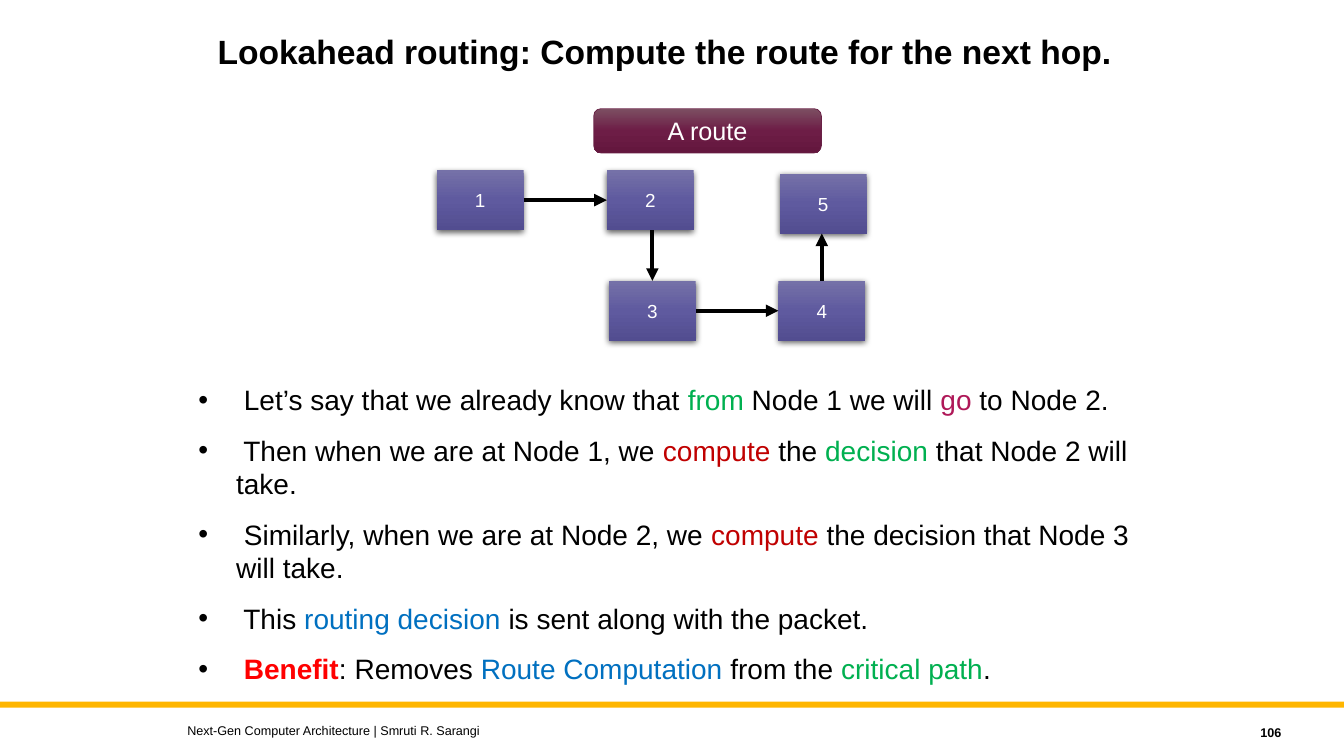
import pptx
import pptx.util
import pptx.dml.color
import pptx.enum.shapes
import pptx.enum.text
import pptx.oxml
import pptx.oxml.ns

Pt = pptx.util.Pt
ALIGN = pptx.enum.text.PP_ALIGN
ANCHOR = pptx.enum.text.MSO_ANCHOR
SHAPE = pptx.enum.shapes.MSO_SHAPE

TITLE = "Lookahead routing: Compute the route for the next hop."
FOOTER = "Next-Gen Computer Architecture | Smruti R. Sarangi"
PAGE = "106"
ROUTE_LABEL = "A route"
NODES = {
    "1": (312, 121.7),
    "2": (433.5, 121.7),
    "3": (435, 200.7),
    "4": (556, 200.7),
    "5": (557, 124.2),
}
HOPS = [("1", "2"), ("2", "3"), ("3", "4"), ("4", "5")]
BULLETS = [
    [" Let’s say that we already know that ", ("from", "green"), " Node 1 we will ",
     ("go", "plum"), " to Node 2."],
    [" Then when we are at Node 1, we ", ("compute", "crimson"), " the ",
     ("decision", "green"), " that Node 2 will take."],
    [" Similarly, when we are at Node 2, we ", ("compute", "crimson"),
     " the decision that Node 3 will take."],
    [" This ", ("routing decision ", "blue"), "is sent along with the packet."],
    [" ", ("Benefit", "red", True), ": Removes ", ("Route Computation ", "blue"),
     "from the ", ("critical path", "green"), "."],
]

THEME = {
    "font": "Arial",
    "black": "000000", "white": "FFFFFF", "bar": "FFB600",
    "green": "00B050", "plum": "AF1858", "crimson": "C00000",
    "blue": "0070C0", "red": "FF0000", "label_line": "692146",
    "node_fill": ("7571A8", "5F5A9F", "524D90"),
    "label_fill": ("7C4F62", "6D1D46", "64173E"),
    "title": 24, "body": 20, "label": 18, "node": 13.5, "small": 9,
}
SLIDE_W, SLIDE_H = 960, 540
NODE_W, NODE_H = 62, 42.6
INDENT = 27
NS = pptx.oxml.ns.nsdecls("a")


def color(name):
    return pptx.dml.color.RGBColor.from_string(THEME[name])


def add_xml(parent, xml):
    el = pptx.oxml.parse_xml(xml)
    parent.append(el)
    return el


def write(tf, paragraphs, size, ink="black", bold=False, align=ALIGN.LEFT,
          anchor=ANCHOR.MIDDLE, bullet=False, leading=None, gap=0):
    tf.word_wrap = True
    tf.vertical_anchor = anchor
    for i, runs in enumerate(paragraphs):
        p = tf.paragraphs[0] if i == 0 else tf.add_paragraph()
        if bullet:
            pPr = p._p.get_or_add_pPr()
            pPr.set("marL", str(Pt(INDENT)))
            pPr.set("indent", str(-Pt(INDENT)))
            add_xml(pPr, f'<a:buFont {NS} typeface="{THEME["font"]}"/>')
            add_xml(pPr, f'<a:buChar {NS} char="•"/>')
        p.alignment = align
        if leading:
            p.line_spacing = leading
        if i and gap:
            p.space_before = Pt(gap)
        for run in runs:
            text, run_ink, run_bold = ((run, ink, bold) if isinstance(run, str)
                                       else (*run, bold)[:3])
            r = p.add_run()
            r.text = text
            r.font.name = THEME["font"]
            r.font.size = Pt(THEME[size])
            r.font.bold = run_bold
            r.font.color.rgb = color(run_ink)


def add_text(s, box, paragraphs, size, **fmt):
    sp = s.shapes.add_textbox(*map(Pt, box))
    write(sp.text_frame, paragraphs, size, **fmt)


def add_block(s, kind, box, fill, line=None, shadow=False):
    sp = s.shapes.add_shape(kind, *map(Pt, box))
    sp.shadow.inherit = False
    if isinstance(THEME[fill], str):
        sp.fill.solid()
        sp.fill.fore_color.rgb = color(fill)
    else:
        stops = "".join(
            f'<a:gs pos="{50000 * i}"><a:srgbClr val="{c}"/></a:gs>'
            for i, c in enumerate(THEME[fill]))
        grad = pptx.oxml.parse_xml(
            f'<a:gradFill {NS} rotWithShape="1"><a:gsLst>{stops}</a:gsLst>'
            '<a:lin ang="5400000" scaled="0"/></a:gradFill>')
        sp._element.spPr.find(pptx.oxml.ns.qn("a:prstGeom")).addnext(grad)
    if line:
        sp.line.color.rgb = color(line)
        sp.line.width = Pt(0.5)
    else:
        sp.line.fill.background()
    if shadow:
        effects = sp._element.spPr.find(pptx.oxml.ns.qn("a:effectLst"))
        add_xml(effects,
                f'<a:outerShdw {NS} blurRad="{Pt(4.5)}" dist="{Pt(1.5)}" dir="5400000" '
                'algn="ctr" rotWithShape="0"><a:srgbClr val="000000">'
                '<a:alpha val="63000"/></a:srgbClr></a:outerShdw>')
    return sp


def add_hop(s, start, end):
    (x1, y1), (x2, y2) = NODES[start], NODES[end]
    if y1 == y2:
        y = y1 + NODE_H / 2
        ends = (x1 + NODE_W, y, x2, y)
    else:
        x = (x1 if y1 > y2 else x2) + NODE_W / 2
        ends = (x, y1, x, y2 + NODE_H) if y1 > y2 else (x, y1 + NODE_H, x, y2)
    line = s.shapes.add_connector(
        pptx.enum.shapes.MSO_CONNECTOR.STRAIGHT, *map(Pt, ends))
    line.line.color.rgb = color("black")
    line.line.width = Pt(3)
    add_xml(line.line._get_or_add_ln(), f'<a:tailEnd {NS} type="triangle"/>')
    add_xml(line._element.spPr, f'<a:effectLst {NS}/>')


def main():
    prs = pptx.Presentation()
    prs.slide_width, prs.slide_height = Pt(SLIDE_W), Pt(SLIDE_H)
    s = prs.slides.add_slide(prs.slide_layouts[6])

    add_block(s, SHAPE.RECTANGLE, (0, 501.2, SLIDE_W, 4.3), "bar")
    add_text(s, (148.3, 21.6, 677.5, 64.8), [[TITLE]], "title", bold=True,
             anchor=ANCHOR.TOP, leading=0.9)
    add_text(s, (134.6, 270, 691.2, 228.2), BULLETS, "body", anchor=ANCHOR.TOP,
             bullet=True, leading=Pt(24), gap=12)
    add_text(s, (821.5, 514.1, 100.8, 18), [[PAGE]], "small", bold=True,
             align=ALIGN.RIGHT)

    for name, (x, y) in NODES.items():
        sp = add_block(s, SHAPE.RECTANGLE, (x, y, NODE_W, NODE_H), "node_fill",
                       shadow=True)
        write(sp.text_frame, [[name]], "node", ink="white", align=ALIGN.CENTER)
    for start, end in HOPS:
        add_hop(s, start, end)

    label = add_block(s, SHAPE.ROUNDED_RECTANGLE, (424.1, 77.6, 162.7, 31.7),
                      "label_fill", line="label_line")
    write(label.text_frame, [[ROUTE_LABEL]], "label", ink="white", align=ALIGN.CENTER)
    add_text(s, (126.7, 512.6, 576, 18), [[FOOTER]], "small")

    prs.save("out.pptx")


if __name__ == "__main__":
    main()
